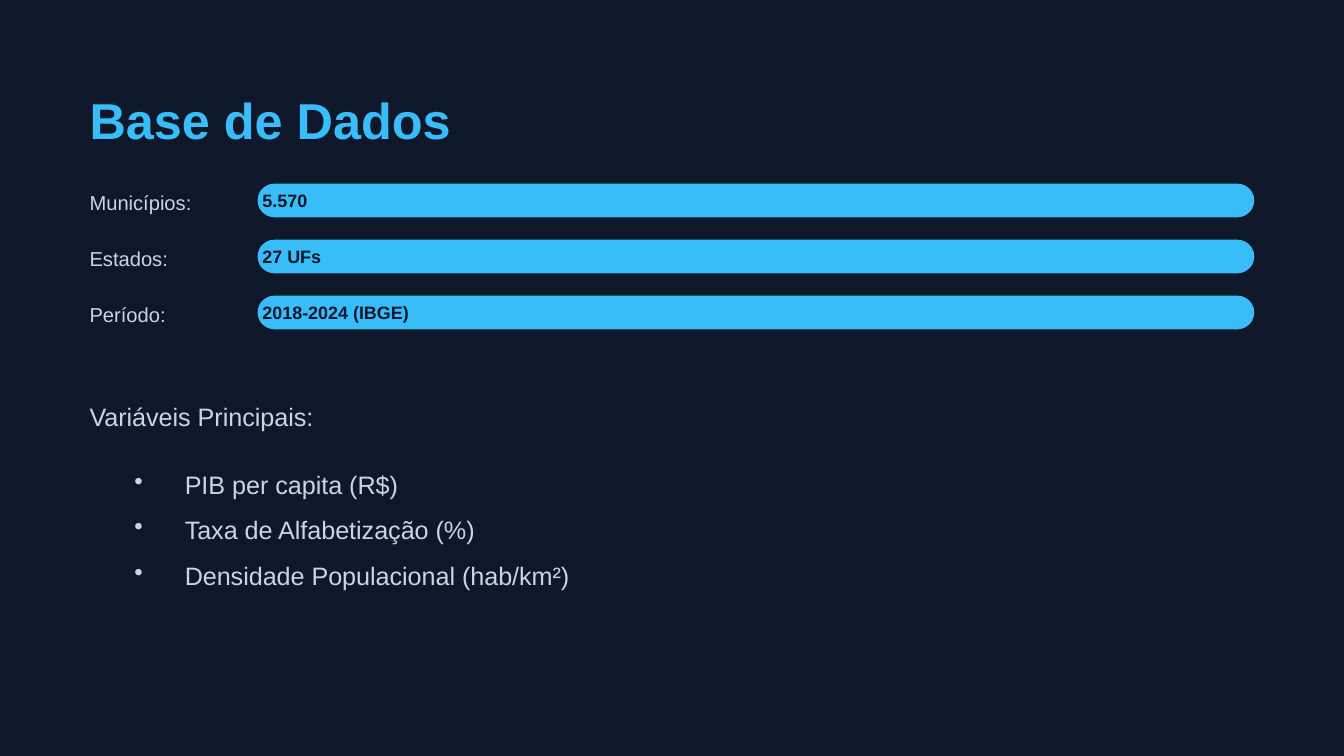
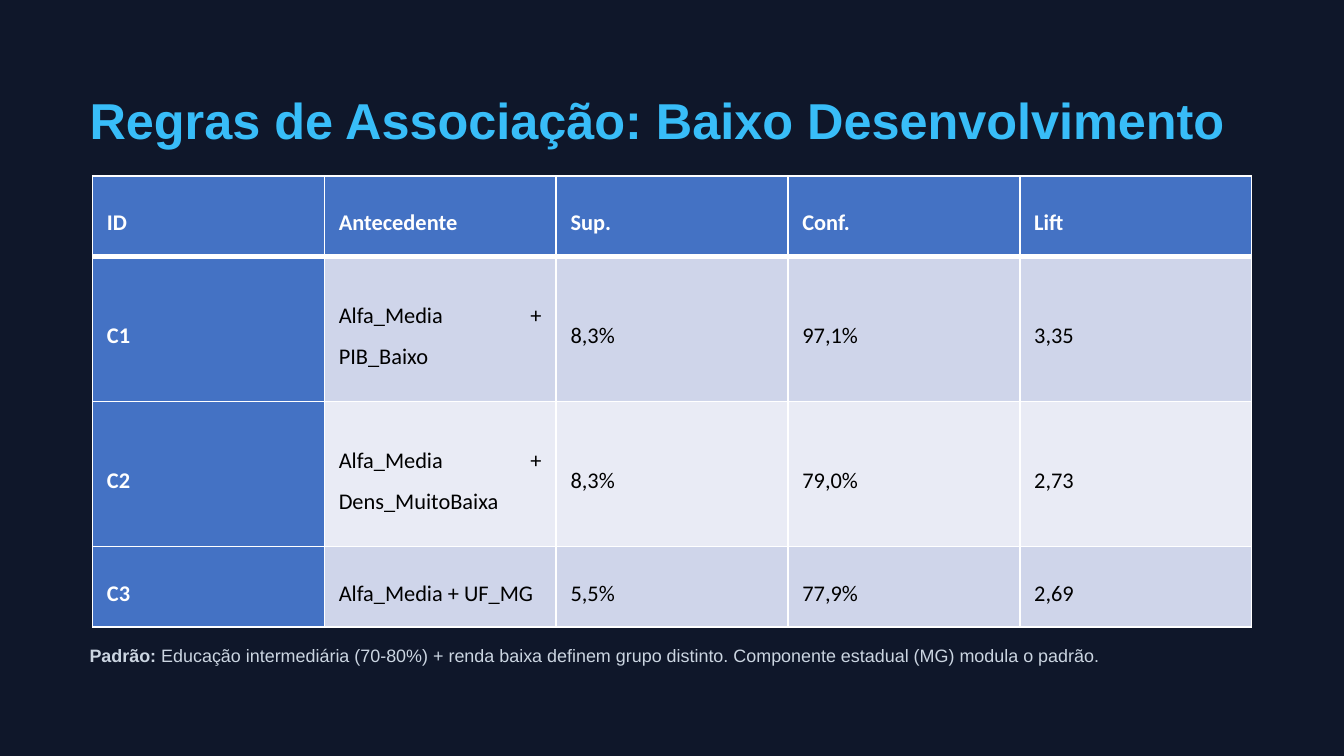
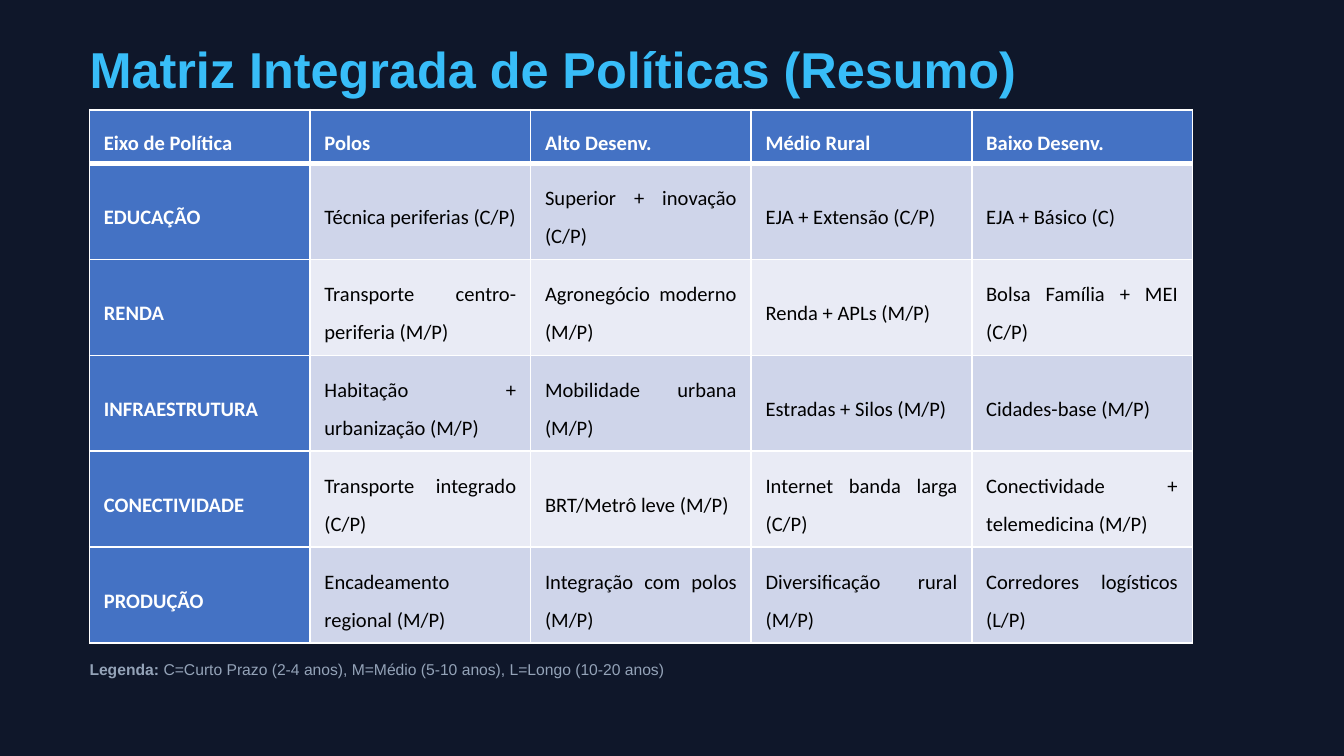
from collections import namedtuple
from dataclasses import dataclass

from pptx import Presentation
from pptx.dml.color import RGBColor
from pptx.enum.shapes import MSO_SHAPE
from pptx.enum.text import MSO_ANCHOR, PP_ALIGN
from pptx.oxml.ns import qn
from pptx.util import Pt
from lxml import etree

ROUNDED = MSO_SHAPE.ROUNDED_RECTANGLE
MIDDLE = MSO_ANCHOR.MIDDLE
JUSTIFY = PP_ALIGN.JUSTIFY
LEFT = PP_ALIGN.LEFT

# Measures are in points
Box = namedtuple("Box", "left top width height")


@dataclass(frozen=True)
class Theme:
    background: str = "0F172A"
    accent: str = "38BDF8"
    body: str = "CBD5E1"
    muted: str = "94A3B8"
    header: str = "4472C4"
    bands: tuple = ("CFD5EA", "E9EBF5")
    white: str = "FFFFFF"
    black: str = "000000"
    font: str = "Arial"
    table_font: str = "Calibri"
    title_size: float = 27
    body_size: float = 13.5
    label_size: float = 10.8
    small_size: float = 9.6
    legend_size: float = 8.4
    margin: float = 48
    text_width: float = 636.5


THEME = Theme()

FACTS = [("Municípios:", "5.570"), ("Estados:", "27 UFs"), ("Período:", "2018-2024 (IBGE)")]
VARIABLES = ["PIB per capita (R$)", "Taxa de Alfabetização (%)", "Densidade Populacional (hab/km²)"]
RULES = [
    ["ID", "Antecedente", "Sup.", "Conf.", "Lift"],
    ["C1", "Alfa_Media + PIB_Baixo", "8,3%", "97,1%", "3,35"],
    ["C2", "Alfa_Media + Dens_MuitoBaixa", "8,3%", "79,0%", "2,73"],
    ["C3", "Alfa_Media + UF_MG", "5,5%", "77,9%", "2,69"],
]
POLICIES = [
    ["Eixo de Política", "Polos", "Alto Desenv.", "Médio Rural", "Baixo Desenv."],
    ["EDUCAÇÃO", "Técnica periferias (C/P)", "Superior + inovação (C/P)",
     "EJA + Extensão (C/P)", "EJA + Básico (C)"],
    ["RENDA", "Transporte centro-periferia (M/P)", "Agronegócio moderno (M/P)",
     "Renda + APLs (M/P)", "Bolsa Família + MEI (C/P)"],
    ["INFRAESTRUTURA", "Habitação + urbanização (M/P)", "Mobilidade urbana (M/P)",
     "Estradas + Silos (M/P)", "Cidades-base (M/P)"],
    ["CONECTIVIDADE", "Transporte integrado (C/P)", "BRT/Metrô leve (M/P)",
     "Internet banda larga (C/P)", "Conectividade + telemedicina (M/P)"],
    ["PRODUÇÃO", "Encadeamento regional (M/P)", "Integração com polos (M/P)",
     "Diversificação rural (M/P)", "Corredores logísticos (L/P)"],
]


# Text and shape helpers
def write_text(paragraph, text, *, size, color, font=THEME.font, bold=False,
               spacing=None, align=None):
    run = paragraph.add_run()
    run.text = text
    run.font.name = font
    run.font.size = Pt(size)
    run.font.bold = bold
    run.font.color.rgb = RGBColor.from_string(color)
    if spacing:
        paragraph.line_spacing = spacing
    if align is not None:
        paragraph.alignment = align


def points(box):
    return [Pt(value) for value in box]


def clear_margins(frame):
    frame.word_wrap = True
    frame.margin_left = frame.margin_top = frame.margin_right = frame.margin_bottom = Pt(0)
    return frame


def add_text_frame(slide, box):
    return clear_margins(slide.shapes.add_textbox(*points(box)).text_frame)


def add_line(slide, box, text, *, size, color, bold=False, leading=1.4, lead=None):
    paragraph = add_text_frame(slide, box).paragraphs[0]
    spacing = Pt(size * leading)
    if lead:
        write_text(paragraph, lead, size=size, color=color, bold=True)
    write_text(paragraph, text, size=size, color=color, bold=bold, spacing=spacing)


def add_bullet(paragraph, indent):
    properties = paragraph._p.get_or_add_pPr()
    properties.set("marL", str(Pt(indent)))
    properties.set("indent", str(-Pt(indent)))
    etree.SubElement(properties, qn("a:buChar")).set("char", "•")


def add_slide(presentation, title, title_top):
    slide = presentation.slides.add_slide(presentation.slide_layouts[6])
    slide.background.fill.solid()
    slide.background.fill.fore_color.rgb = RGBColor.from_string(THEME.background)
    add_line(slide, Box(THEME.margin, title_top, THEME.text_width, 32.4), title,
             size=THEME.title_size, color=THEME.accent, bold=True, leading=1.2)
    return slide


# Label and pill rows
def add_facts(slide, box, facts):
    pill_left, pill_height = 90, 18
    pitch = (box.height - pill_height) / (len(facts) - 1)
    for index, (label, value) in enumerate(facts):
        top = box.top + index * pitch
        pill = slide.shapes.add_shape(ROUNDED, *points(
            Box(box.left + pill_left, top, box.width - pill_left, pill_height)))
        pill.adjustments[0] = 0.5
        pill.shadow.inherit = False
        pill.fill.solid()
        pill.fill.fore_color.rgb = RGBColor.from_string(THEME.accent)
        pill.line.fill.background()
        frame = clear_margins(pill.text_frame)
        frame.vertical_anchor = MIDDLE
        write_text(frame.paragraphs[0], value, size=THEME.small_size,
                   color=THEME.background, bold=True, align=LEFT)
        add_line(slide, Box(box.left, top + 1.5, 91.5, 15), label,
                 size=THEME.label_size, color=THEME.body)


# Heading with its bulleted list
def add_variables(slide, box, heading, items):
    add_line(slide, Box(box.left, box.top, box.width, 19), heading,
             size=THEME.body_size, color=THEME.body)
    frame = add_text_frame(slide, Box(box.left + 24, box.top + 31, box.width - 36, box.height - 31))
    for index, item in enumerate(items):
        paragraph = frame.add_paragraph() if index else frame.paragraphs[0]
        add_bullet(paragraph, 27)
        write_text(paragraph, item, size=THEME.body_size, color=THEME.body,
                   spacing=Pt(THEME.body_size * 1.8))


# Tables
def set_borders(cell, widths):
    properties = cell._tc.get_or_add_tcPr()
    for index, (side, width) in enumerate(widths.items()):
        line = etree.Element(qn(f"a:ln{side}"), w=str(Pt(width)))
        fill = etree.SubElement(line, qn("a:solidFill"))
        etree.SubElement(fill, qn("a:srgbClr")).set("val", THEME.white)
        properties.insert(index, line)


def add_grid(slide, box, rows, *, heights, size, padding):
    table = slide.shapes.add_table(len(rows), len(rows[0]), *points(box)).table
    for column in table.columns:
        column.width = Pt(box.width / len(rows[0]))
    for row_index, (values, height) in enumerate(zip(rows, heights)):
        table.rows[row_index].height = Pt(height)
        for column_index, value in enumerate(values):
            cell = table.cell(row_index, column_index)
            is_header = row_index == 0 or column_index == 0
            cell.fill.solid()
            cell.fill.fore_color.rgb = RGBColor.from_string(
                THEME.header if is_header else THEME.bands[(row_index - 1) % 2])
            set_borders(cell, {"L": 1, "R": 1, "T": 3 if row_index == 1 else 1,
                               "B": 3 if row_index == 0 else 1})
            cell.vertical_anchor = MIDDLE
            cell.margin_left = cell.margin_right = Pt(7.7)
            cell.margin_top = cell.margin_bottom = Pt(padding)
            paragraph = cell.text_frame.paragraphs[0]
            paragraph.space_after = Pt(6)
            write_text(paragraph, value, size=size, font=THEME.table_font, bold=is_header,
                       color=THEME.white if is_header else THEME.black,
                       spacing=1.5, align=JUSTIFY)


# Slides
def build_data_slide(presentation):
    slide = add_slide(presentation, "Base de Dados", 48)
    add_facts(slide, Box(THEME.margin, 98.4, 624, 78), FACTS)
    add_variables(slide, Box(THEME.margin, 212.4, THEME.text_width, 122),
                  "Variáveis Principais:", VARIABLES)


def build_rules_slide(presentation):
    slide = add_slide(presentation, "Regras de Associação: Baixo Desenvolvimento", 48)
    add_grid(slide, Box(49.6, 94.4, 621, 242), RULES, heights=[43.2, 77.6, 77.6, 43.2],
             size=12, padding=4)
    add_line(slide, Box(THEME.margin, 343.6, THEME.text_width, 13.5),
             " Educação intermediária (70-80%) + renda baixa definem grupo distinto. "
             "Componente estadual (MG) modula o padrão.",
             lead="Padrão:", size=THEME.small_size, color=THEME.body)


def build_policy_slide(presentation):
    slide = add_slide(presentation, "Matriz Integrada de Políticas (Resumo)", 20.2)
    add_grid(slide, Box(THEME.margin, 58.8, 590.8, 286), POLICIES,
             heights=[28.8] + [51.4] * 5, size=11, padding=3.6)
    add_line(slide, Box(THEME.margin, 351.6, THEME.text_width, 11.8),
             " C=Curto Prazo (2-4 anos), M=Médio (5-10 anos), L=Longo (10-20 anos)",
             lead="Legenda:", size=THEME.legend_size, color=THEME.muted)


def main():
    presentation = Presentation()
    presentation.slide_width, presentation.slide_height = Pt(720), Pt(405)
    build_data_slide(presentation)
    build_rules_slide(presentation)
    build_policy_slide(presentation)
    presentation.save("out.pptx")


if __name__ == "__main__":
    main()
